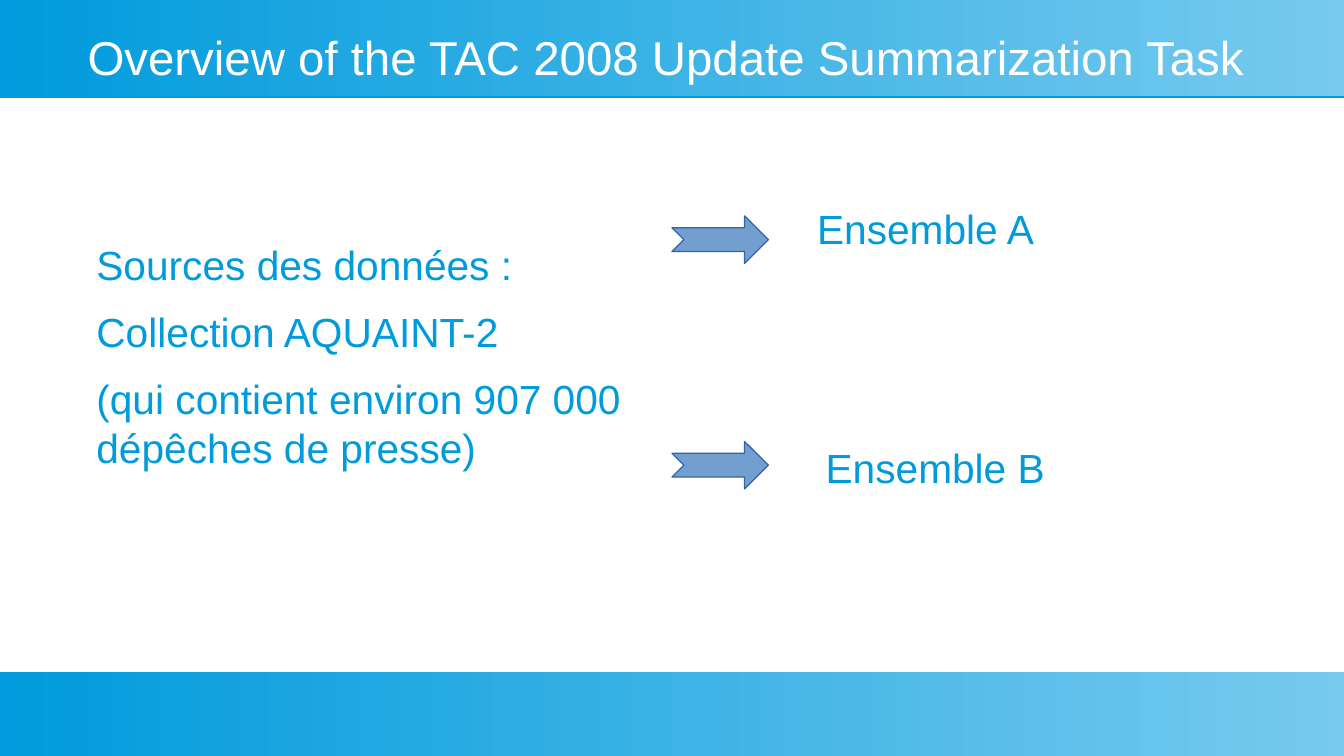
"""Build the slide on the TAC 2008 update summarization task."""
from lxml.etree import SubElement
from pptx import Presentation
from pptx.dml.color import RGBColor
from pptx.enum.shapes import MSO_SHAPE
from pptx.enum.text import MSO_ANCHOR, PP_ALIGN
from pptx.oxml.ns import qn
from pptx.util import Inches, Pt

COLORS = {
    "blue": "009BDD",
    "pale": "77CAEE",
    "white": "FFFFFF",
    "arrow": "729FCF",
    "edge": "3465A4",
}
FONT = "Arial"
WIDTH, HEIGHT = 11.02, 6.2
TITLE = "Overview of the TAC 2008 Update Summarization Task "
TITLE_BOX = (0.39, 0.2, 10.24, 0.52)
BANDS = [(0, 0.79), (5.51, 0.69)]
TEXTS = [
    (
        [
            "Sources des données :",
            "Collection AQUAINT-2",
            "(qui contient environ 907 000 dépêches de presse)",
        ],
        (0.32, 1.97, 4.99, 2.17),
    ),
    (["Ensemble A"], (6.23, 1.67, 4.7, 1.88)),
    (["Ensemble B"], (6.3, 3.63, 4.7, 1.88)),
]
TEXT_INDENT = 0.47
ARROW_LEFT, ARROW_WIDTH, ARROW_HEIGHT = 5.51, 0.79, 0.39
ARROW_TOPS = [1.77, 3.62]


def rgb(name):
    return RGBColor.from_string(COLORS[name])


def write(frame, lines, size=24, color="blue", align=PP_ALIGN.LEFT,
          anchor=MSO_ANCHOR.TOP, before=0, indent=0):
    frame.word_wrap = True
    frame.vertical_anchor = anchor
    frame.margin_left = Inches(indent)
    frame.margin_top = frame.margin_right = frame.margin_bottom = 0
    for number, line in enumerate(lines):
        paragraph = frame.add_paragraph() if number else frame.paragraphs[0]
        paragraph.alignment = align
        paragraph.space_before = Pt(before)
        run = paragraph.add_run()
        run.text = line
        run.font.name = FONT
        run.font.size = Pt(size)
        run.font.color.rgb = rgb(color)


def add_band(slide, top, height):
    band = slide.shapes.add_shape(
        MSO_SHAPE.RECTANGLE, 0, Inches(top), Inches(WIDTH), Inches(height))
    band.line.fill.background()
    band.fill.gradient()
    band.fill.gradient_angle = 0
    for stop, color, position in zip(band.fill.gradient_stops, ("blue", "pale"), (0, 1)):
        stop.color.rgb = rgb(color)
        stop.position = position
    band.shadow.inherit = False
    effects = band._element.spPr.find(qn("a:effectLst"))
    shadow = SubElement(effects, qn("a:outerShdw"), blurRad="0",
                        dist=str(Pt(0.9)), dir="5400000", rotWithShape="0")
    SubElement(shadow, qn("a:srgbClr"), val=COLORS["blue"])


def add_arrow(slide, top):
    arrow = slide.shapes.add_shape(
        MSO_SHAPE.NOTCHED_RIGHT_ARROW,
        *map(Inches, (ARROW_LEFT, top, ARROW_WIDTH, ARROW_HEIGHT)))
    arrow.shadow.inherit = False
    arrow.fill.solid()
    arrow.fill.fore_color.rgb = rgb("arrow")
    arrow.line.color.rgb = rgb("edge")
    arrow.line.width = 0


def main():
    deck = Presentation()
    deck.slide_width, deck.slide_height = Inches(WIDTH), Inches(HEIGHT)
    slide = deck.slides.add_slide(deck.slide_layouts[5])
    for top, height in BANDS:
        add_band(slide, top, height)

    title = slide.shapes.title
    title.left, title.top, title.width, title.height = map(Inches, TITLE_BOX)
    write(title.text_frame, [TITLE], size=28, color="white",
          align=PP_ALIGN.CENTER, anchor=MSO_ANCHOR.MIDDLE)
    slide.shapes._spTree.append(title._element)

    for lines, box in TEXTS:
        text = slide.shapes.add_textbox(*map(Inches, box))
        write(text.text_frame, lines, before=10.6, indent=TEXT_INDENT)
    for top in ARROW_TOPS:
        add_arrow(slide, top)
    deck.save("out.pptx")


if __name__ == "__main__":
    main()
